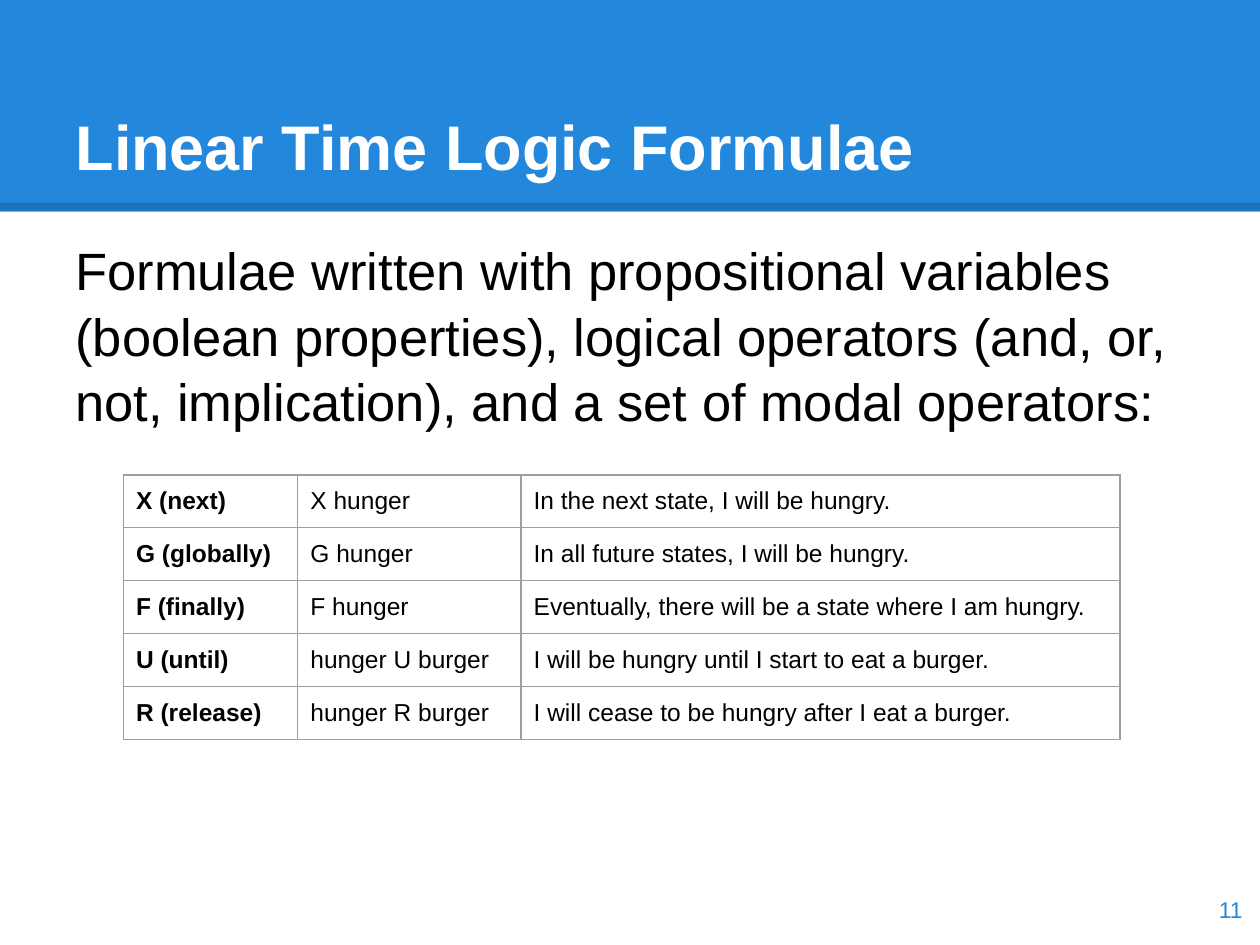
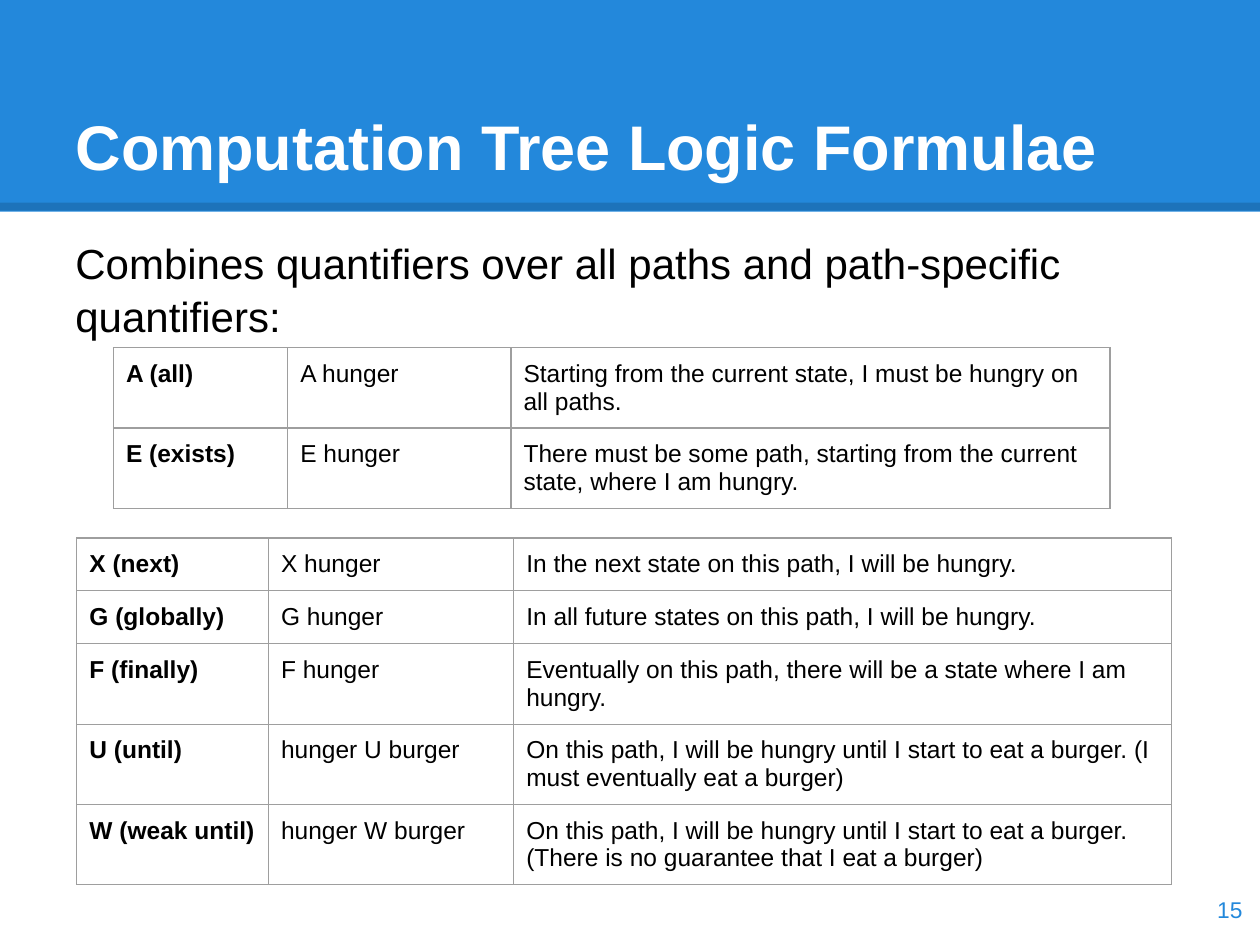
from dataclasses import dataclass

from lxml.etree import SubElement
from pptx import Presentation
from pptx.dml.color import RGBColor
from pptx.enum.shapes import MSO_CONNECTOR as Connector, MSO_SHAPE as Shape
from pptx.enum.text import MSO_ANCHOR as Anchor, MSO_AUTO_SIZE as AutoSize, PP_ALIGN as Align
from pptx.oxml import parse_xml
from pptx.oxml.ns import nsdecls, qn
from pptx.util import Inches, Pt


@dataclass(frozen=True)
class Theme:
    font: str = "Arial"
    blue: str = "2388DB"
    white: str = "FFFFFF"
    black: str = "000000"
    grid_line: str = "9E9E9E"
    title_size: int = 36
    cell_size: int = 14
    number_size: int = 13
    rule_width: float = 4.5
    rule_opacity: int = 15
    border_width: float = 0.75


@dataclass(frozen=True)
class Box:
    """An area in grid units: the slide has 100 columns and 75 rows."""
    left: float
    top: float
    width: float
    height: float

    @property
    def inches(self):
        return [unit(n) for n in (self.left, self.top, self.width, self.height)]


THEME = Theme()
COLUMNS, ROWS = 100, 75
INSET = 1
ROW_HEIGHT = 4.2
COLUMN_SHARES = (0.175, 0.224, 0.601)

BAND = Box(0, 0, COLUMNS, 16.8)
TITLE = Box(5, 3, 90, 12.5)
NUMBER = Box(93.6, 69.3, 6, 5.7)


def unit(count):
    return Inches(count / 10)


def write(frame, text, *, size, color=THEME.black, bold=False, align=Align.LEFT,
          anchor=Anchor.TOP, spacing=None):
    """Put one formatted paragraph into a text frame."""
    frame.word_wrap = True
    frame.auto_size = AutoSize.NONE
    frame.vertical_anchor = anchor
    frame.margin_left = frame.margin_right = unit(INSET)
    frame.margin_top = frame.margin_bottom = unit(INSET)
    para = frame.paragraphs[0]
    para.alignment = align
    if spacing:
        para.line_spacing = spacing
    span = para.add_run()
    span.text = text
    font = span.font
    font.name, font.size, font.bold = THEME.font, Pt(size), bold
    font.color.rgb = RGBColor.from_string(color)


def add_text(page, box, text, **style):
    write(page.shapes.add_textbox(*box.inches).text_frame, text, **style)


def add_header(page, box, text):
    """Blue band, its darker lower rule and the title on top."""
    band = page.shapes.add_shape(Shape.RECTANGLE, *box.inches)
    band.shadow.inherit = False
    band.fill.solid()
    band.fill.fore_color.rgb = RGBColor.from_string(THEME.blue)
    band.line.fill.background()

    y = unit(box.top + box.height - 0.4)
    rule = page.shapes.add_connector(
        Connector.STRAIGHT, unit(box.left), y, unit(box.left + box.width), y)
    rule.line.width = Pt(THEME.rule_width)
    rule.line.color.rgb = RGBColor.from_string(THEME.black)
    properties = rule.element.spPr
    color = next(properties.iter(qn("a:srgbClr")))
    SubElement(color, qn("a:alpha")).set("val", str(THEME.rule_opacity * 1000))
    SubElement(properties, qn("a:effectLst"))

    title = page.shapes.title
    title.left, title.top, title.width, title.height = TITLE.inches
    write(title.text_frame, text, size=THEME.title_size, color=THEME.white,
          bold=True, anchor=Anchor.BOTTOM)
    # Bring the title in front of the band
    title.element.getparent().append(title.element)


def add_borders(cell):
    properties = cell._tc.get_or_add_tcPr()
    for place, side in enumerate("LRTB"):
        properties.insert(place, parse_xml(
            f'<a:ln{side} {nsdecls("a")} w="{Pt(THEME.border_width)}"><a:solidFill>'
            f'<a:srgbClr val="{THEME.grid_line}"/></a:solidFill></a:ln{side}>'))


def add_operator_table(page, left, top, width, entries):
    """Operator, example and meaning, one operator a row."""
    box = Box(left, top, width, ROW_HEIGHT * len(entries))
    table = page.shapes.add_table(len(entries), len(COLUMN_SHARES), *box.inches).table
    table.first_row = table.horz_banding = False
    for column, share in zip(table.columns, COLUMN_SHARES):
        column.width = unit(width * share)
    for row, entry in zip(table.rows, entries):
        row.height = unit(ROW_HEIGHT)
        for index, (cell, text) in enumerate(zip(row.cells, entry)):
            cell.fill.background()
            add_borders(cell)
            cell.margin_left = cell.margin_right = unit(INSET)
            cell.margin_top = cell.margin_bottom = unit(INSET)
            write_cell(cell, text, bold=index == 0)


def write_cell(cell, text, bold):
    cell.vertical_anchor = Anchor.TOP
    para = cell.text_frame.paragraphs[0]
    span = para.add_run()
    span.text = text
    font = span.font
    font.name, font.size, font.bold = THEME.font, Pt(THEME.cell_size), bold
    font.color.rgb = RGBColor.from_string(THEME.black)


def add_formula_slide(deck, title, number, intro, intro_box, intro_size, tables):
    page = deck.slides.add_slide(deck.slide_layouts[5])
    add_header(page, BAND, title)
    add_text(page, intro_box, intro, size=intro_size, spacing=1.04)
    for left, top, width, entries in tables:
        add_operator_table(page, left, top, width, entries)
    add_text(page, NUMBER, str(number), size=THEME.number_size, color=THEME.blue,
             align=Align.RIGHT, anchor=Anchor.MIDDLE)


LINEAR_OPERATORS = [
    ("X (next)", "X hunger", "In the next state, I will be hungry."),
    ("G (globally)", "G hunger", "In all future states, I will be hungry."),
    ("F (finally)", "F hunger", "Eventually, there will be a state where I am hungry."),
    ("U (until)", "hunger U burger", "I will be hungry until I start to eat a burger."),
    ("R (release)", "hunger R burger", "I will cease to be hungry after I eat a burger."),
]
PATH_QUANTIFIERS = [
    ("A (all)", "A hunger",
     "Starting from the current state, I must be hungry on all paths."),
    ("E (exists)", "E hunger",
     "There must be some path, starting from the current state, where I am hungry."),
]
PATH_OPERATORS = [
    ("X (next)", "X hunger", "In the next state on this path, I will be hungry."),
    ("G (globally)", "G hunger", "In all future states on this path, I will be hungry."),
    ("F (finally)", "F hunger",
     "Eventually on this path, there will be a state where I am hungry."),
    ("U (until)", "hunger U burger",
     "On this path, I will be hungry until I start to eat a burger. "
     "(I must eventually eat a burger)"),
    ("W (weak until)", "hunger W burger",
     "On this path, I will be hungry until I start to eat a burger. "
     "(There is no guarantee that I eat a burger)"),
]


def main():
    deck = Presentation()
    deck.slide_width, deck.slide_height = unit(COLUMNS), unit(ROWS)

    # Linear time logic
    add_formula_slide(
        deck, "Linear Time Logic Formulae", 11,
        "Formulae written with propositional variables (boolean properties), logical "
        "operators (and, or, not, implication), and a set of modal operators:",
        Box(5, 17.7, 90, 54.3), 30,
        [(9.8, 37.7, 79.1, LINEAR_OPERATORS)])

    # Computation tree logic
    add_formula_slide(
        deck, "Computation Tree Logic Formulae", 15,
        "Combines quantifiers over all paths and path-specific quantifiers:",
        Box(5, 17.7, 93.4, 23.2), 24,
        [(6.1, 42.7, 86.9, PATH_OPERATORS), (9, 27.6, 79.1, PATH_QUANTIFIERS)])

    deck.save("out.pptx")


if __name__ == "__main__":
    main()
